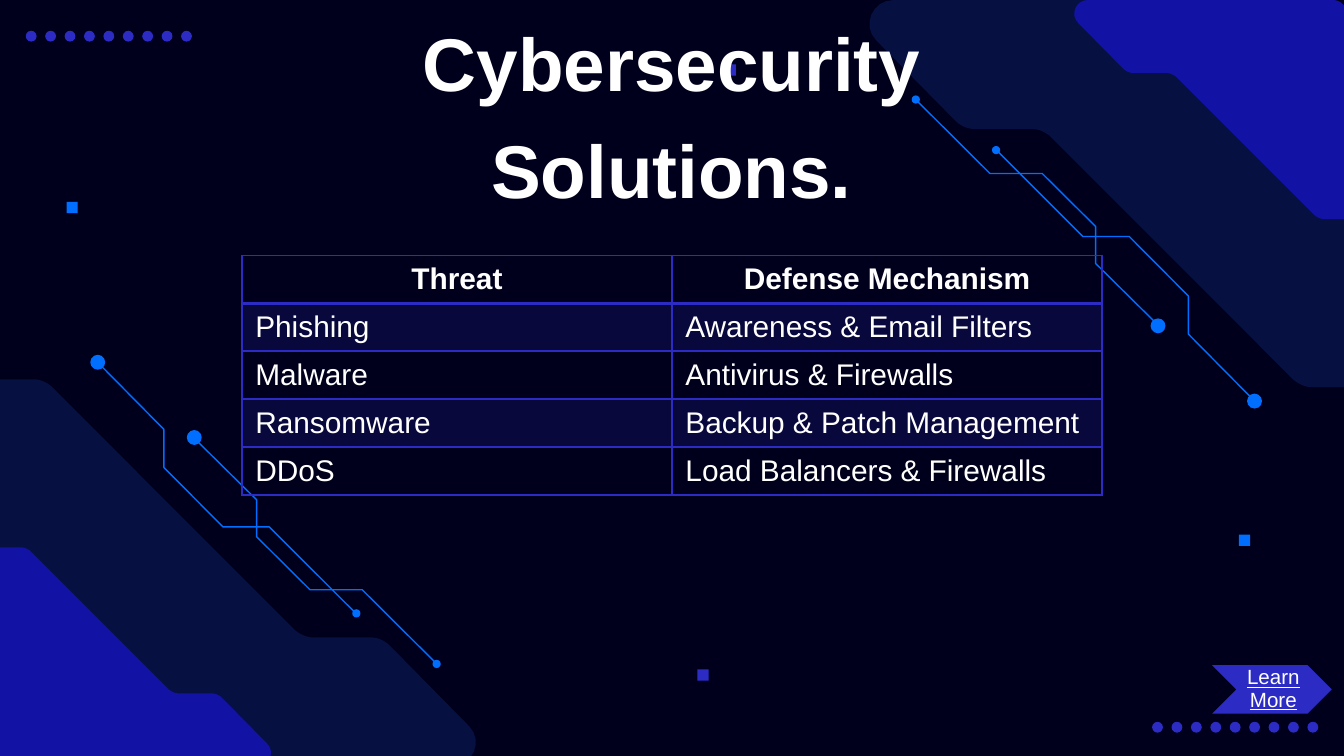
from lxml.etree import SubElement
from pptx import Presentation
from pptx.dml.color import RGBColor
from pptx.enum.shapes import MSO_SHAPE
from pptx.enum.text import MSO_ANCHOR, PP_ALIGN
from pptx.oxml import parse_xml
from pptx.oxml.ns import nsdecls, qn
from pptx.util import Pt

NIGHT = RGBColor(0x00, 0x00, 0x1C)
NAVY = RGBColor(0x06, 0x10, 0x41)
ROYAL = RGBColor(0x12, 0x12, 0xA5)
VIOLET = RGBColor(0x2C, 0x2C, 0xC5)
AZURE = RGBColor(0x00, 0x6E, 0xFF)
WHITE = RGBColor(0xFF, 0xFF, 0xFF)
FONT = "Arial"

TITLE = "Cybersecurity Solutions."
BUTTON = "Learn More"
ROWS = [
    ("Threat", "Defense Mechanism"),
    ("Phishing", "Awareness & Email Filters"),
    ("Malware", "Antivirus & Firewalls"),
    ("Ransomware", "Backup & Patch Management"),
    ("DDoS", "Load Balancers & Firewalls"),
]

DOT_ROWS = [(13.8, 16.5), (617.2, 386.7)]
DOT_COUNT, DOT_STEP, DOT_SIZE = 9, 10.4, 5.8
SQUARES = [
    (35.7, 108.2, AZURE),
    (388.3, 34.5, VIOLET),
    (663.7, 286.5, AZURE),
    (373.6, 358.7, VIOLET),
]
SQUARE_SIZE = 6

BAND_START = (263.5, 207.4)
BAND_CORNERS = [
    [(241.2, 207.4), (237.6, 207.4), (234.7, 205.9), (231.8, 203.8)],
    [(100.8, 72.7), (97.9, 70.6), (95, 69.1), (91.4, 69.1)],
    [(60.5, 69.1), (56.9, 69.1), (54, 67.7), (51.1, 65.5)],
    [(7.9, 21.6), (0, 13.7), (5.8, 0), (17.3, 0)],
    [(249.1, 0), (256.3, 0), (262.1, 5.8), (262.1, 13)],
]
BAND_END = (262.8, 209.5)
BANDS = [(461.5, 1, NAVY), (573.1, 0.566, ROYAL)]
TRACES = [
    [(490.4, 53.2), (530.4, 93), (558.4, 93), (587, 121.4), (587, 141.2), (618.5, 172.3)],
    [(533.6, 80.2), (580.2, 126.7), (605, 126.7), (636.7, 158.6), (636.7, 179), (670.3, 213)],
]
NODES = [(620.4, 174.6, 8), (672.1, 214.9, 8), (533.6, 80.4, 4.4), (490.6, 53.3, 4.4)]
BAND_TURN = (720.7, 410.6)
CIRCUIT_TURN = (724.5, 409)

presentation = Presentation()
presentation.slide_width = Pt(720)
presentation.slide_height = Pt(405)
slide = presentation.slides.add_slide(presentation.slide_layouts[6])
slide.background.fill.solid()
slide.background.fill.fore_color.rgb = NIGHT


def add_preset(kind, left, top, width, height, color):
    shape = slide.shapes.add_shape(kind, Pt(left), Pt(top), Pt(width), Pt(height))
    shape.shadow.inherit = False
    shape.fill.solid()
    shape.fill.fore_color.rgb = color
    shape.line.fill.background()


def add_outline(points, fill=None, line=None):
    vertices = [(Pt(x), Pt(y)) for x, y in points]
    builder = slide.shapes.build_freeform(*vertices[0])
    builder.add_line_segments(vertices[1:], close=fill is not None)
    shape = builder.convert_to_shape()
    shape.shadow.inherit = False
    if fill is None:
        shape.fill.background()
        shape.line.color.rgb = line
        shape.line.width = Pt(0.75)
    else:
        shape.fill.solid()
        shape.fill.fore_color.rgb = fill
        shape.line.fill.background()


def turn(points, sums):
    return [(sums[0] - x, sums[1] - y) for x, y in points]


def curve(corner, steps=8):
    for step in range(steps + 1):
        t = step / steps
        weights = ((1 - t) ** 3, 3 * t * (1 - t) ** 2, 3 * t * t * (1 - t), t ** 3)
        yield tuple(sum(w * p[axis] for w, p in zip(weights, corner)) for axis in (0, 1))


def add_corner(turned):
    outline = [BAND_START, *(p for corner in BAND_CORNERS for p in curve(corner)), BAND_END]
    for left, scale, color in BANDS:
        points = [(left + x * scale, y * scale) for x, y in outline]
        add_outline(turn(points, BAND_TURN) if turned else points, fill=color)
    for trace in TRACES:
        add_outline(turn(trace, CIRCUIT_TURN) if turned else trace, line=AZURE)
    for x, y, size in NODES:
        if turned:
            x, y = turn([(x, y)], CIRCUIT_TURN)[0]
        add_preset(MSO_SHAPE.OVAL, x - size / 2, y - size / 2, size, size, AZURE)


def write(frame, text, size, bold=False, underline=None, align=PP_ALIGN.LEFT, spacing=None):
    paragraph = frame.paragraphs[0]
    paragraph.alignment = align
    paragraph.line_spacing = spacing
    run = paragraph.add_run()
    run.text = text
    run.font.name = FONT
    run.font.size = Pt(size)
    run.font.bold = bold
    run.font.underline = underline
    run.font.color.rgb = WHITE


def add_text(text, box, margins, anchor, **style):
    frame = slide.shapes.add_textbox(*map(Pt, box)).text_frame
    frame.word_wrap = True
    frame.vertical_anchor = anchor
    frame.margin_left, frame.margin_top, frame.margin_right, frame.margin_bottom = map(Pt, margins)
    write(frame, text, align=PP_ALIGN.CENTER, **style)


def set_borders(cell, widths):
    properties = cell._tc.get_or_add_tcPr()
    for index, (side, width) in enumerate(widths.items()):
        properties.insert(index, parse_xml(
            f'<a:ln{side} {nsdecls("a")} w="{Pt(width)}"><a:solidFill>'
            f'<a:srgbClr val="{VIOLET}"/></a:solidFill></a:ln{side}>'))


def add_threat_table(left, top, column_width, row_height):
    table = slide.shapes.add_table(
        len(ROWS), 2, Pt(left), Pt(top), Pt(2 * column_width), Pt(len(ROWS) * row_height)).table
    table.first_row = table.horz_banding = False
    for row_index, texts in enumerate(ROWS):
        header = row_index == 0
        for column_index, text in enumerate(texts):
            cell = table.cell(row_index, column_index)
            cell.vertical_anchor = MSO_ANCHOR.MIDDLE
            cell.margin_top = cell.margin_bottom = Pt(3.25)
            if row_index % 2:
                cell.fill.solid()
                cell.fill.fore_color.rgb = VIOLET
                color = next(cell._tc.tcPr.iter(qn("a:srgbClr")))
                SubElement(color, qn("a:alpha"), val="20000")
            else:
                cell.fill.background()
            set_borders(cell, {"L": 1, "R": 1, "T": 2 if row_index == 1 else 1, "B": 2 if header else 1})
            write(cell.text_frame, text, 16, bold=header,
                  align=PP_ALIGN.CENTER if header else PP_ALIGN.LEFT)


for left, top in DOT_ROWS:
    for index in range(DOT_COUNT):
        add_preset(MSO_SHAPE.OVAL, left + index * DOT_STEP, top, DOT_SIZE, DOT_SIZE, VIOLET)
for left, top, color in SQUARES:
    add_preset(MSO_SHAPE.RECTANGLE, left, top, SQUARE_SIZE, SQUARE_SIZE, color)
for turned in (True, False):
    add_corner(turned)
add_text(TITLE, (167.8, 7.2, 383.8, 114.5), (7.2, 7.2, 7.2, 7.2), MSO_ANCHOR.BOTTOM,
         size=40, bold=True, spacing=1.2)
add_threat_table(129.6, 136.8, 230.4, 25)
add_preset(MSO_SHAPE.CHEVRON, 649.4, 356.4, 64.1, 25.9, VIOLET)
add_text(BUTTON, (662.4, 356.4, 38.2, 25.9), (1.4, 0.7, 0, 0.7), MSO_ANCHOR.MIDDLE,
         size=11, underline=True, spacing=0.9)

presentation.save("out.pptx")
